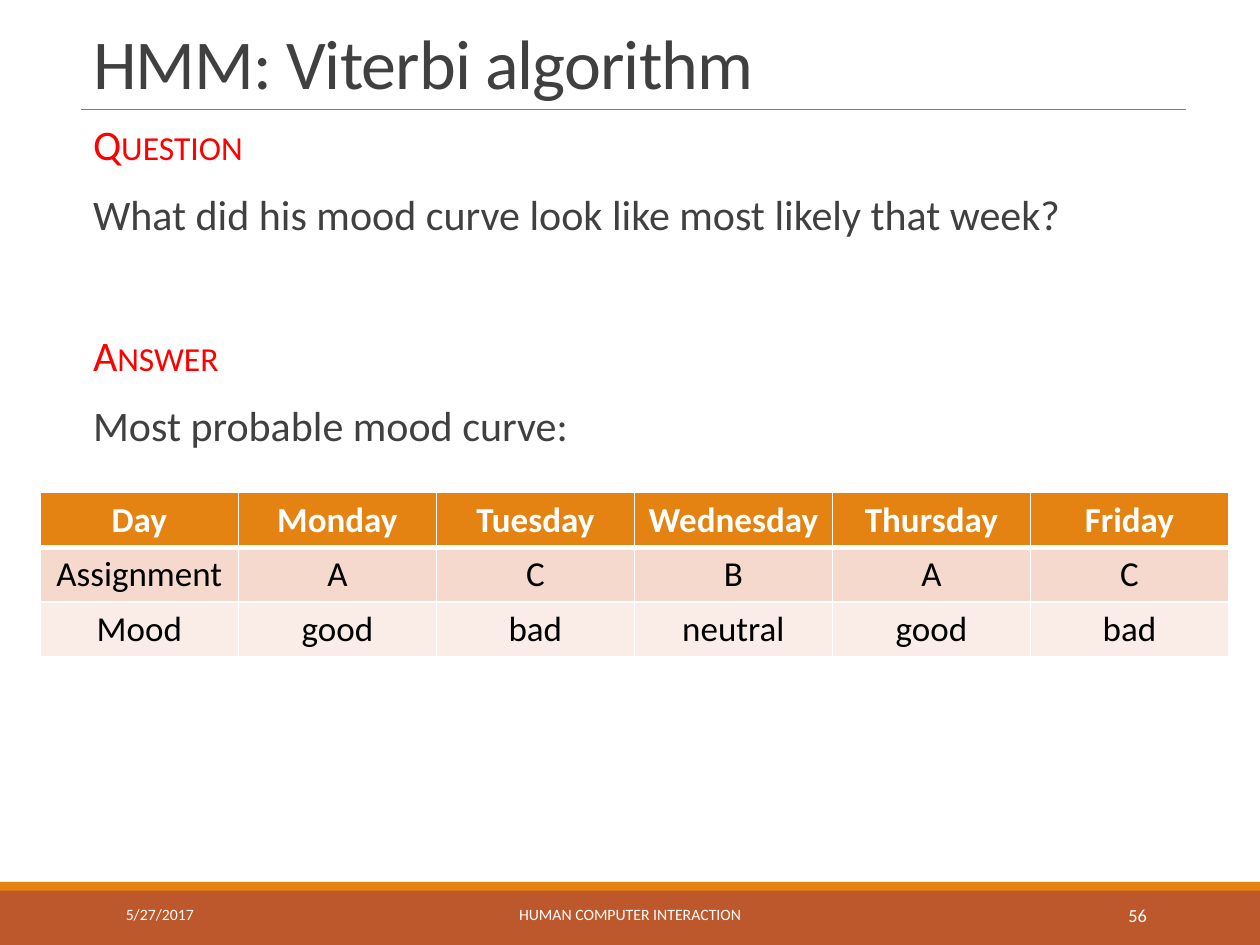
from dataclasses import dataclass

from lxml.etree import SubElement
from pptx import Presentation
from pptx.dml.color import RGBColor
from pptx.enum.shapes import MSO_CONNECTOR, MSO_SHAPE
from pptx.enum.text import MSO_ANCHOR, PP_ALIGN
from pptx.oxml.ns import qn
from pptx.util import Emu, Inches, Pt


@dataclass(frozen=True)
class Theme:
    font: str = "Calibri"
    orange: str = "E48312"
    rust: str = "BD582C"
    white: str = "FFFFFF"
    black: str = "000000"
    text: str = "404040"
    red: str = "FF0000"
    rule: str = "808080"
    bands: tuple[str, str] = ("F5D9CC", "FAEDE7")
    title_size: float = 40
    body_size: float = 24
    table_size: float = 20
    footer_size: float = 9
    number_size: float = 10.5


@dataclass(frozen=True)
class Box:
    """A place on a grid of 100 columns by 75 rows."""
    left: float
    top: float
    width: float
    height: float

    def lengths(self) -> tuple[Emu, ...]:
        return tuple(grid(value) for value in (self.left, self.top, self.width, self.height))


@dataclass(frozen=True)
class BodyLine:
    text: str
    heading: bool
    space_before: float


@dataclass(frozen=True)
class FooterField:
    text: str
    box: Box
    alignment: PP_ALIGN
    size: float


THEME = Theme()
BODY = (
    BodyLine("Question", True, 0),
    BodyLine("What did his mood curve look like most likely that week?", False, 12),
    BodyLine("Answer", True, 52.4),
    BodyLine("Most probable mood curve:", False, 12),
)
FOOTER = (
    FooterField("5/27/2017", Box(9, 70.6, 20.3, 4), PP_ALIGN.LEFT, THEME.footer_size),
    FooterField("HUMAN COMPUTER INTERACTION", Box(30.2, 70.6, 39.6, 4), PP_ALIGN.CENTER, THEME.footer_size),
    FooterField("56", Box(81.2, 70.6, 10.8, 4), PP_ALIGN.RIGHT, THEME.number_size),
)
MOODS = (
    ("Day", "Monday", "Tuesday", "Wednesday", "Thursday", "Friday"),
    ("Assignment", "A", "C", "B", "A", "C"),
    ("Mood", "good", "bad", "neutral", "good", "bad"),
)


def grid(units: float) -> Emu:
    return Inches(units / 10)


def color(value: str) -> RGBColor:
    return RGBColor.from_string(value)


def format_runs(paragraph, size: float, value: str, bold: bool = False) -> None:
    for run in paragraph.runs:
        run.font.name = THEME.font
        run.font.size = Pt(size)
        run.font.bold = bold
        run.font.color.rgb = color(value)


def add_bar(slide, box: Box, fill: str) -> None:
    shape = slide.shapes.add_shape(MSO_SHAPE.RECTANGLE, *box.lengths())
    shape.shadow.inherit = False
    shape.fill.solid()
    shape.fill.fore_color.rgb = color(fill)
    shape.line.fill.background()


def add_rule(slide, left: float, right: float, row: float) -> None:
    connector = slide.shapes.add_connector(
        MSO_CONNECTOR.STRAIGHT, grid(left), grid(row), grid(right), grid(row))
    connector.line.color.rgb = color(THEME.rule)
    connector.line.width = Pt(0.5)
    SubElement(connector._element.spPr, qn("a:effectLst"))


def add_text_frame(slide, box: Box, anchor: MSO_ANCHOR):
    text_frame = slide.shapes.add_textbox(*box.lengths()).text_frame
    text_frame.word_wrap = True
    text_frame.vertical_anchor = anchor
    return text_frame


def add_title(slide, text: str, box: Box) -> None:
    text_frame = add_text_frame(slide, box, MSO_ANCHOR.BOTTOM)
    text_frame.text = text
    paragraph = text_frame.paragraphs[0]
    paragraph.line_spacing = 0.85
    format_runs(paragraph, THEME.title_size, THEME.text)
    paragraph.runs[0].font._element.set("spc", "-50")


def add_body(slide, lines: tuple[BodyLine, ...], box: Box) -> None:
    text_frame = add_text_frame(slide, box, MSO_ANCHOR.TOP)
    text_frame.text = "\n".join(line.text for line in lines)
    for paragraph, line in zip(text_frame.paragraphs, lines):
        paragraph.line_spacing = 0.9
        paragraph.space_before = Pt(line.space_before)
        paragraph.space_after = Pt(2)
        format_runs(paragraph, THEME.body_size, THEME.red if line.heading else THEME.text)
        if line.heading:
            paragraph.runs[0].font._element.set("cap", "small")


def add_footer_field(slide, field: FooterField) -> None:
    text_frame = add_text_frame(slide, field.box, MSO_ANCHOR.MIDDLE)
    text_frame.text = field.text
    paragraph = text_frame.paragraphs[0]
    paragraph.alignment = field.alignment
    format_runs(paragraph, field.size, THEME.white)


def add_borders(cell, top: float, bottom: float) -> None:
    """Draw white cell borders, with widths in points; the sides are 1 point."""
    properties = cell._tc.get_or_add_tcPr()
    for tag, width in (("a:lnL", 1), ("a:lnR", 1), ("a:lnT", top), ("a:lnB", bottom)):
        line = SubElement(properties, qn(tag), w=str(Pt(width)))
        fill = SubElement(line, qn("a:solidFill"))
        SubElement(fill, qn("a:srgbClr"), val=THEME.white)


def add_mood_table(slide, rows: tuple[tuple[str, ...], ...], box: Box) -> None:
    table = slide.shapes.add_table(len(rows), len(rows[0]), *box.lengths()).table
    table.horz_banding = False
    fills = (THEME.orange, *THEME.bands)
    for row_index, texts in enumerate(rows):
        header = row_index == 0
        for column_index, text in enumerate(texts):
            cell = table.cell(row_index, column_index)
            add_borders(cell, 3 if row_index == 1 else 1, 3 if header else 1)
            cell.fill.solid()
            cell.fill.fore_color.rgb = color(fills[row_index])
            cell.vertical_anchor = MSO_ANCHOR.TOP if header else MSO_ANCHOR.MIDDLE
            cell.text_frame.text = text
            paragraph = cell.text_frame.paragraphs[0]
            paragraph.alignment = PP_ALIGN.CENTER
            format_runs(paragraph, THEME.table_size, THEME.white if header else THEME.black, header)


def main() -> None:
    presentation = Presentation()
    presentation.slide_width, presentation.slide_height = grid(100), grid(75)
    slide = presentation.slides.add_slide(presentation.slide_layouts[6])
    add_bar(slide, Box(0, 70.6, 100, 4.4), THEME.rust)
    add_bar(slide, Box(0, 70, 100, 0.7), THEME.orange)
    add_rule(slide, 6.4, 94.1, 8.7)
    add_title(slide, "HMM: Viterbi algorithm", Box(6.4, 1.3, 87.7, 7.4))
    add_body(slide, BODY, Box(6.4, 9.4, 87.7, 59.5))
    for field in FOOTER:
        add_footer_field(slide, field)
    add_mood_table(slide, MOODS, Box(3.2, 39.1, 94.3, 13))
    presentation.save("out.pptx")


if __name__ == "__main__":
    main()
